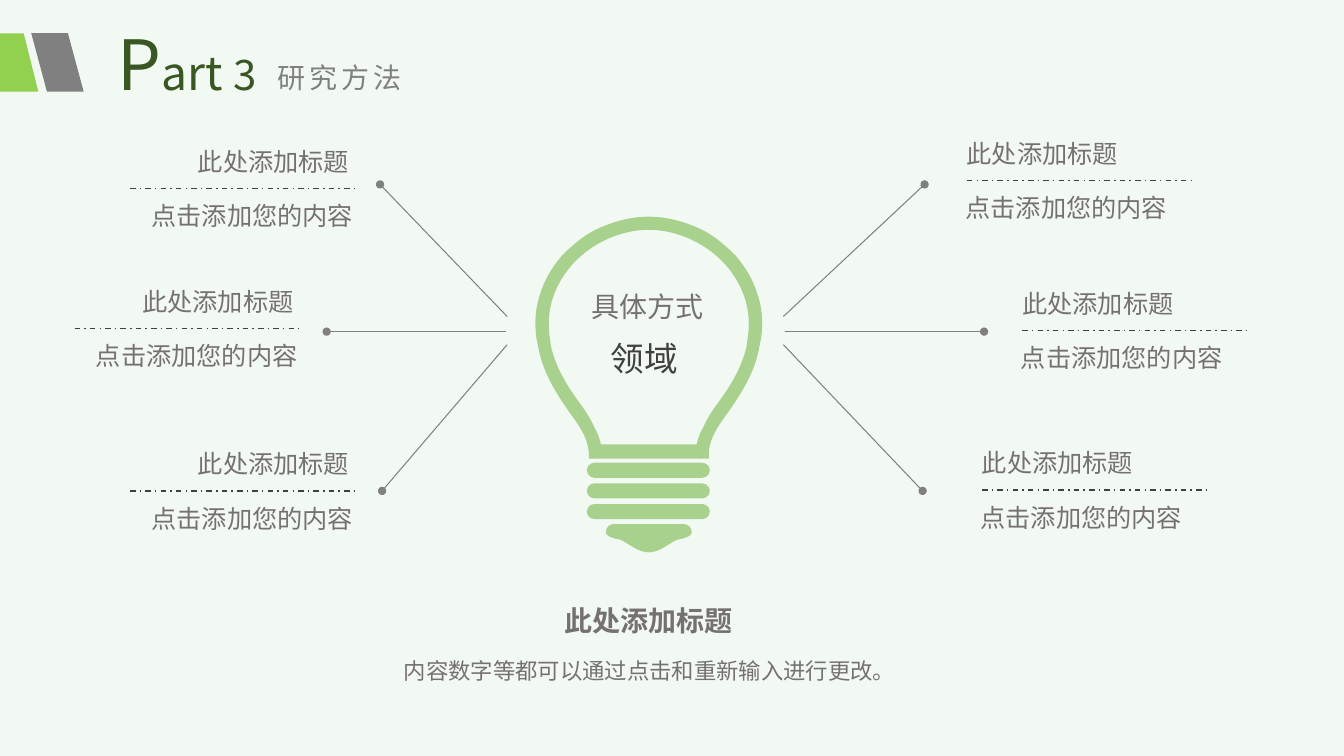
"""Build the research methods slide: a light bulb with six labelled callouts."""
from dataclasses import dataclass

from lxml import etree
from pptx import Presentation
from pptx.dml.color import RGBColor
from pptx.enum.dml import MSO_LINE
from pptx.enum.shapes import MSO_CONNECTOR, MSO_SHAPE
from pptx.enum.text import MSO_ANCHOR, MSO_AUTO_SIZE, PP_ALIGN
from pptx.oxml.ns import qn
from pptx.util import Inches, Pt

LEFT, CENTER, RIGHT = PP_ALIGN.LEFT, PP_ALIGN.CENTER, PP_ALIGN.RIGHT
MIDDLE = MSO_ANCHOR.MIDDLE
FIT_SHAPE, NO_FIT = MSO_AUTO_SIZE.SHAPE_TO_FIT_TEXT, MSO_AUTO_SIZE.NONE
STRAIGHT = MSO_CONNECTOR.STRAIGHT
DASH_DOT = MSO_LINE.DASH_DOT
TRAPEZOID, PARALLELOGRAM = MSO_SHAPE.TRAPEZOID, MSO_SHAPE.PARALLELOGRAM
ROUNDED = MSO_SHAPE.ROUNDED_RECTANGLE
TITLE_ONLY = 5


@dataclass(frozen=True)
class Theme:
    background: str = "F2F9F3"
    bulb: str = "A9D18E"
    accent: str = "92D050"
    title: str = "385723"
    gray: str = "808080"
    text: str = "767171"
    dark: str = "404040"
    sans: str = "Arial"
    cjk: str = "Noto Sans CJK SC"
    initial_size: float = 49.5
    title_size: float = 33
    number_size: float = 30
    domain_size: float = 24
    heading_size: float = 20
    label_size: float = 18
    caption_size: float = 16


@dataclass(frozen=True)
class Callout:
    rule_left: float
    rule_top: float
    on_left: bool
    ray_start: tuple[float, float]
    ray_end: tuple[float, float]


@dataclass(frozen=True)
class Curve:
    first: tuple[float, float]
    second: tuple[float, float]
    end: tuple[float, float]


THEME = Theme()
BULB_AXIS = 6.435
RULE_WIDTH = 2.22
CALLOUTS = [
    Callout(9.59, 1.79, False, (7.77, 3.14), (9.17, 1.83)),
    Callout(10.14, 3.28, False, (7.79, 3.29), (9.76, 3.29)),
    Callout(9.74, 4.86, False, (7.77, 3.42), (9.15, 4.87)),
    Callout(1.29, 1.87, True, (5.03, 3.14), (3.77, 1.83)),
    Callout(0.74, 3.26, True, (5.02, 3.29), (3.24, 3.29)),
    Callout(1.29, 4.87, True, (5.03, 3.42), (3.79, 4.87)),
]
GLASS_OUTSIDE = [
    Curve((6.6, 2.15), (6.76, 2.19), (6.92, 2.26)),
    Curve((7.06, 2.32), (7.18, 2.42), (7.3, 2.54)),
    Curve((7.4, 2.66), (7.47, 2.78), (7.51, 2.91)),
    Curve((7.56, 3.05), (7.57, 3.2), (7.55, 3.35)),
    Curve((7.54, 3.4), (7.53, 3.45), (7.52, 3.5)),
    Curve((7.46, 3.75), (7.33, 3.93), (7.23, 4.08)),
    Curve((7.17, 4.16), (7.12, 4.23), (7.08, 4.31)),
    Curve((7.05, 4.37), (7.04, 4.42), (7.03, 4.48)),
    Curve((7.03, 4.48), (7.03, 4.55), (7.03, 4.55)),
]
GLASS_INSIDE = [
    Curve((6.71, 2.28), (7, 2.41), (7.19, 2.62)),
    Curve((7.33, 2.78), (7.46, 3.01), (7.42, 3.33)),
    Curve((7.41, 3.38), (7.41, 3.42), (7.4, 3.46)),
    Curve((7.34, 3.69), (7.22, 3.86), (7.12, 4)),
    Curve((7.06, 4.08), (7.01, 4.16), (6.97, 4.25)),
    Curve((6.94, 4.3), (6.92, 4.36), (6.91, 4.41)),
]
TIP = [
    Curve((6.44, 5.2), (6.78, 5.2), (6.78, 5.2)),
    Curve((6.83, 5.2), (6.86, 5.24), (6.86, 5.28)),
    Curve((6.86, 5.32), (6.79, 5.34), (6.74, 5.35)),
    Curve((6.68, 5.35), (6.56, 5.48), (BULB_AXIS, 5.48)),
]


def write(frame, text: str, *, size: float, color: str = THEME.text, font: str = THEME.sans,
          align=LEFT, bold: bool = False, tracking: float = 0, line_spacing: float = 1) -> None:
    paragraph = frame.paragraphs[0]
    paragraph.alignment = align
    paragraph.line_spacing = line_spacing
    run = paragraph.add_run()
    run.text = text
    run.font.name, run.font.size, run.font.bold = font, Pt(size), bold
    run.font.color.rgb = RGBColor.from_string(color)
    properties = run.font._element
    etree.SubElement(properties, qn("a:ea"), typeface=THEME.cjk)
    if tracking:
        properties.set("spc", str(int(tracking * 100)))


def add_text(slide, text: str, left: float, top: float, width: float, height: float,
             *, wrap: bool = True, **text_format) -> None:
    box = slide.shapes.add_textbox(Inches(left), Inches(top), Inches(width), Inches(height))
    box.text_frame.word_wrap = wrap
    box.text_frame.auto_size = FIT_SHAPE
    write(box.text_frame, text, **text_format)


def paint(shape, color: str) -> None:
    shape.shadow.inherit = False
    shape.fill.solid()
    shape.fill.fore_color.rgb = RGBColor.from_string(color)
    shape.line.fill.background()


def add_block(slide, kind, color: str, left: float, top: float, width: float, height: float):
    shape = slide.shapes.add_shape(kind, Inches(left), Inches(top), Inches(width), Inches(height))
    paint(shape, color)
    return shape


def add_line(slide, start: tuple[float, float], end: tuple[float, float], color: str,
             width: float, *, dash=None, dot: bool = False) -> None:
    line = slide.shapes.add_connector(STRAIGHT, *map(Inches, (*start, *end)))
    line.line.color.rgb = RGBColor.from_string(color)
    line.line.width = Pt(width)
    if dash is not None:
        line.line.dash_style = dash
    if dot:
        etree.SubElement(line.line._get_or_add_ln(), qn("a:tailEnd"), type="oval")
    etree.SubElement(line._element.spPr, qn("a:effectLst"))


def symmetric_outline(top: float, curves: list[Curve], steps: int = 10) -> list[tuple[int, int]]:
    half = [(BULB_AXIS, top)]
    for curve in curves:
        corners = (half[-1], curve.first, curve.second, curve.end)
        for step in range(1, steps + 1):
            t = step / steps
            weights = ((1 - t) ** 3, 3 * t * (1 - t) ** 2, 3 * t * t * (1 - t), t ** 3)
            half.append(tuple(sum(weight * corner[axis] for weight, corner in zip(weights, corners))
                              for axis in (0, 1)))
    mirrored = [(2 * BULB_AXIS - x, y) for x, y in reversed(half)]
    return [(Inches(x), Inches(y)) for x, y in half + mirrored]


def add_outline(slide, *contours: list[tuple[int, int]]) -> None:
    builder = slide.shapes.build_freeform(*contours[0][0])
    for index, contour in enumerate(contours):
        if index:
            builder.move_to(*contour[0])
        builder.add_line_segments(contour[1:], close=True)
    paint(builder.convert_to_shape(), THEME.bulb)


def add_bulb(slide) -> None:
    add_outline(slide, symmetric_outline(2.15, GLASS_OUTSIDE), symmetric_outline(2.28, GLASS_INSIDE))
    for index in range(3):
        thread = add_block(slide, ROUNDED, THEME.bulb, 5.82, 4.59 + index * 0.205, 1.22, 0.15)
        thread.adjustments[0] = 0.5
    add_outline(slide, symmetric_outline(5.2, TIP))
    add_text(slide, "领域", 5.96, 3.3, 0.88, 0.5, wrap=False, size=THEME.domain_size, color=THEME.dark)
    add_text(slide, "具体方式", 5.3, 2.82, 2.24, 0.44, size=THEME.heading_size, font=THEME.cjk, align=CENTER)


def add_callout(slide, callout: Callout) -> None:
    left, top = callout.rule_left, callout.rule_top
    heading_shift, body_shift = (0.55, -0.16) if callout.on_left else (-0.1, -0.25)
    add_line(slide, callout.ray_start, callout.ray_end, THEME.gray, 0.75, dot=True)
    add_text(slide, "此处添加标题", left + heading_shift, top - 0.47, 1.72, 0.4, wrap=False,
             size=THEME.label_size, font=THEME.cjk, align=RIGHT if callout.on_left else LEFT)
    add_text(slide, "点击添加您的内容", left + body_shift, top + 0.07, 2.47, 0.4,
             size=THEME.label_size, align=RIGHT if callout.on_left else CENTER)
    add_line(slide, (left, top), (left + RULE_WIDTH, top), THEME.dark, 1, dash=DASH_DOT)


def add_header(slide) -> None:
    title = slide.shapes.title
    title.left, title.top, title.width, title.height = map(Inches, (1.07, 0.16, 3.17, 0.93))
    frame = title.text_frame
    frame.auto_size, frame.vertical_anchor, frame.word_wrap = NO_FIT, MIDDLE, True
    for text, size in (("P", THEME.initial_size), ("art ", THEME.title_size), ("3", THEME.number_size)):
        write(frame, text, size=size, color=THEME.title, font=THEME.cjk)
    add_text(slide, "研究方法", 2.65, 0.55, 1.95, 0.44, size=THEME.heading_size,
             color=THEME.gray, font=THEME.cjk, tracking=3)
    add_block(slide, TRAPEZOID, THEME.accent, -0.38, 0.33, 0.76, 0.58)
    stripe = add_block(slide, PARALLELOGRAM, THEME.gray, 0.31, 0.33, 0.52, 0.58)
    stripe.adjustments[0] = 0.3
    stripe._element.spPr.xfrm.set("flipV", "1")


def main() -> None:
    presentation = Presentation()
    presentation.slide_width, presentation.slide_height = Inches(13.33), Inches(7.5)
    slide = presentation.slides.add_slide(presentation.slide_layouts[TITLE_ONLY])
    slide.background.fill.solid()
    slide.background.fill.fore_color.rgb = RGBColor.from_string(THEME.background)
    add_header(slide)
    add_bulb(slide)
    for callout in CALLOUTS:
        add_callout(slide, callout)
    add_text(slide, "内容数字等都可以通过点击和重新输入进行更改。", 1.93, 6.39, 9.03, 0.45,
             size=THEME.caption_size, align=CENTER, line_spacing=1.3)
    add_text(slide, "此处添加标题", 5.49, 5.94, 1.88, 0.44, wrap=False,
             size=THEME.heading_size, align=CENTER, bold=True)
    presentation.save("out.pptx")


if __name__ == "__main__":
    main()
